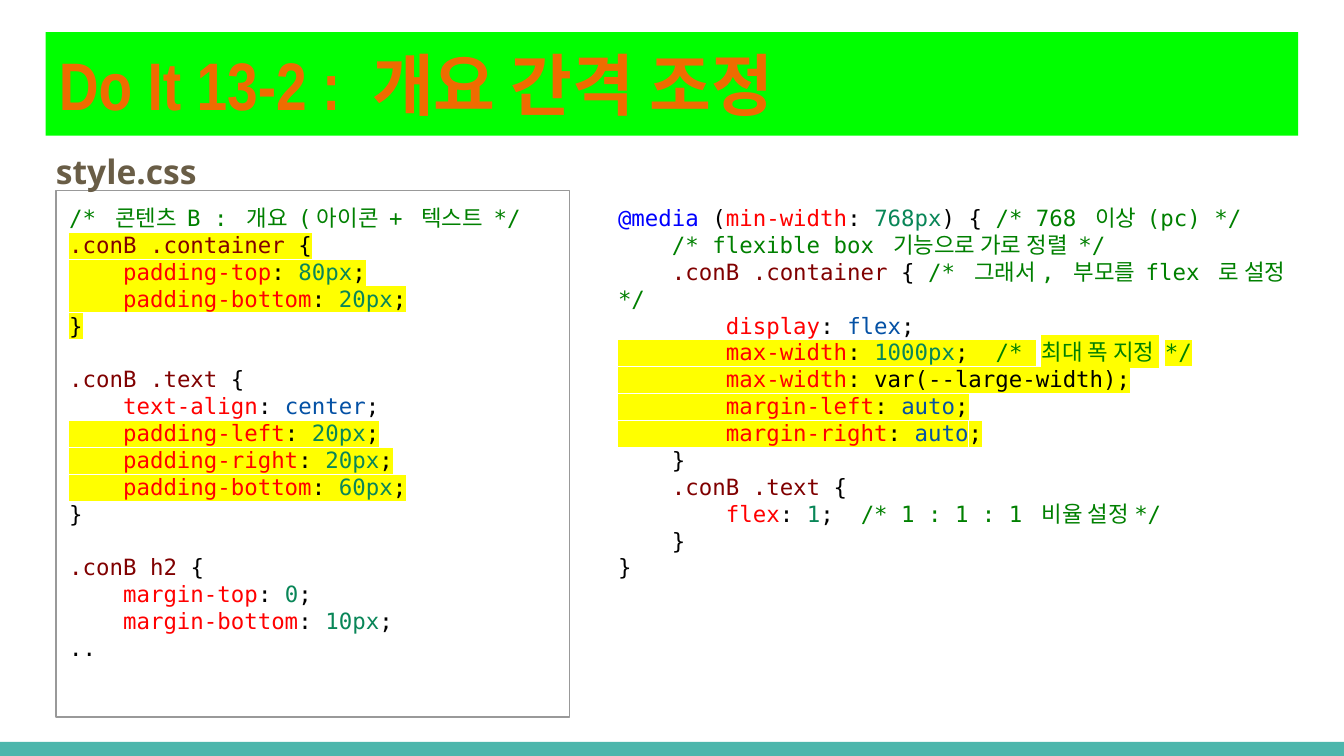
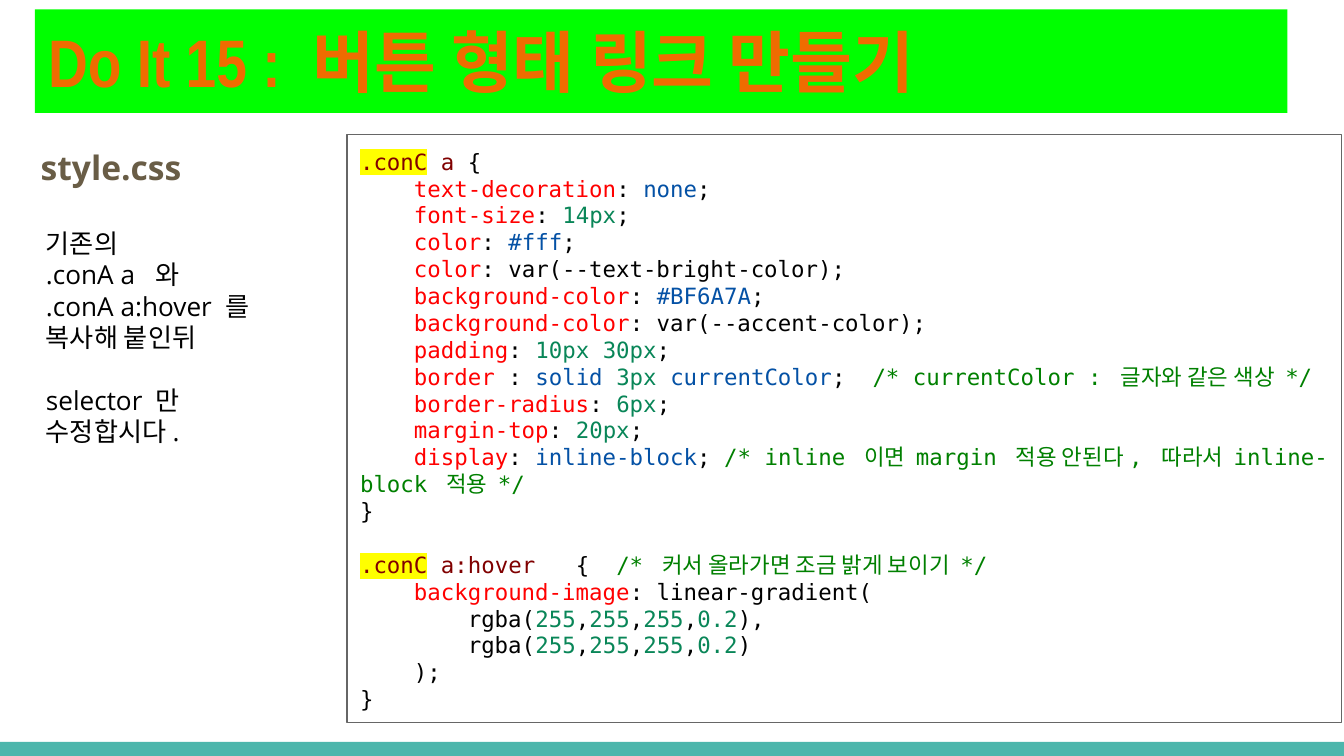
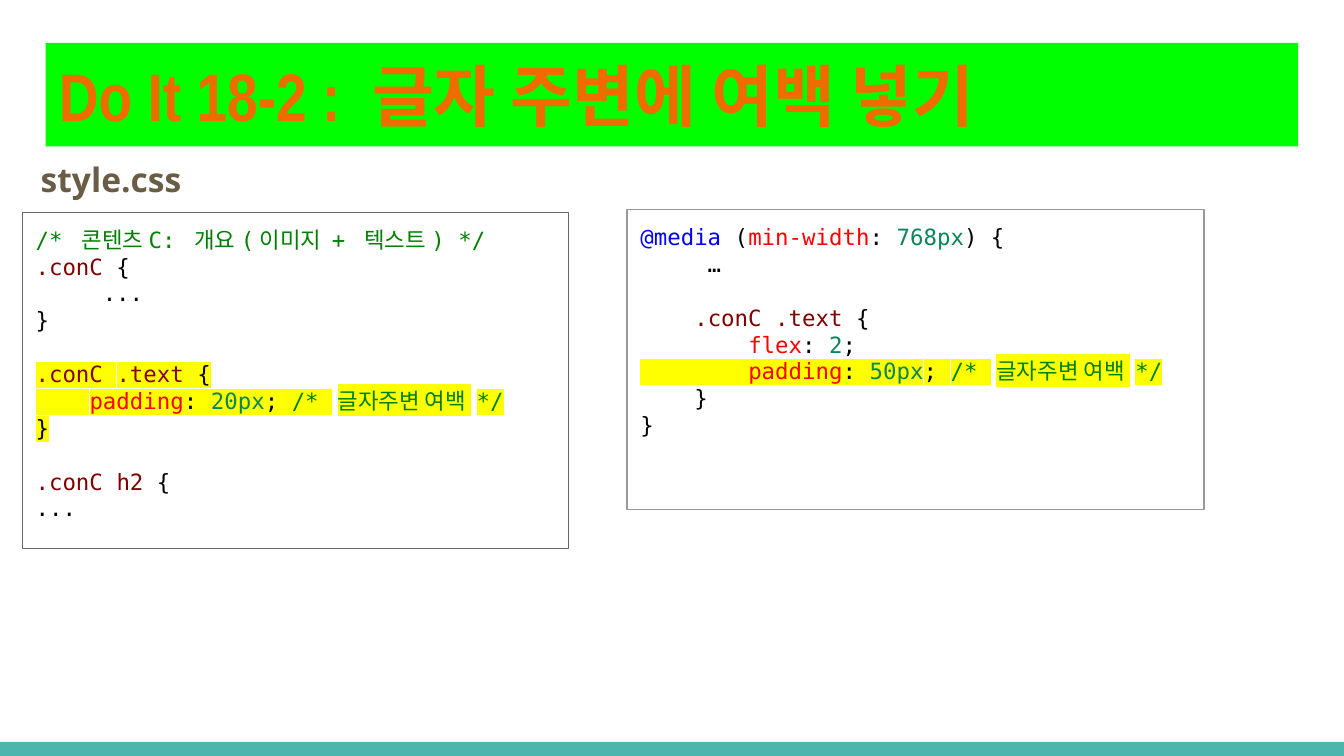
import dataclasses
import typing

import lxml.etree
import pptx
import pptx.dml.color
import pptx.enum.shapes
import pptx.enum.text
import pptx.oxml.ns
import pptx.util

Pt = pptx.util.Pt


@dataclasses.dataclass(frozen=True)
class Theme:
    band: str = "00FF00"
    footer: str = "4DB6AC"
    title: str = "EF6C00"
    label: str = "695D46"
    plain: str = "000000"
    comment: str = "008000"
    selector: str = "800000"
    prop: str = "FF0000"
    number: str = "098658"
    keyword: str = "0451A5"
    at_rule: str = "0000FF"
    marker: str = "FFFF00"
    light_border: str = "999999"
    dark_border: str = "666666"
    title_font: str = "Arial Narrow"
    text_font: str = "Open Sans"
    code_font: str = "DejaVu Sans Mono"
    title_size: float = 36
    label_size: float = 18
    note_size: float = 14
    code_size: float = 12
    leading: float = 1.2
    inset: float = 7.2


THEME = Theme()


class Span(typing.NamedTuple):
    text: str
    color: str = THEME.plain
    marked: bool = False


class Line(typing.NamedTuple):
    spans: list[Span]
    indent: float = 0


class Area(typing.NamedTuple):
    left: float
    top: float
    width: float
    height: float


Blocks = list[list[Line]]


@dataclasses.dataclass(frozen=True)
class TextPanel:
    area: Area
    blocks: Blocks
    border: str | None = None
    font: str = THEME.code_font
    size: float = THEME.code_size


@dataclasses.dataclass(frozen=True)
class Lesson:
    title: str
    title_at: tuple[float, float]
    label_at: tuple[float, float]
    panels: list[TextPanel]


def plain(text: str, indent: float = 0) -> Line:
    return Line([Span(text)], indent)


def comment(text: str) -> Span:
    return Span(f"/* {text}*/", THEME.comment)


def selector(first: str, second: str = "", depth: int = 0, opening: str = " {") -> Line:
    spans = [Span("    " * depth)] if depth else []
    spans.append(Span(first, THEME.selector))
    if second:
        spans += [Span(" "), Span(second, THEME.selector)]
    return Line(spans + [Span(opening)])


def value_color(word: str) -> str:
    if "(" in word:
        return THEME.plain
    return THEME.number if word[0].isdigit() else THEME.keyword


def declare(name: str, value: str, depth: int = 1, colon: str = ": ", end: str = ";") -> Line:
    spans = [Span("    " * depth), Span(name, THEME.prop), Span(colon)]
    for position, word in enumerate(value.split()):
        if position:
            spans.append(Span(" "))
        spans.append(Span(word, value_color(word)))
    return Line(spans + [Span(end)])


def rgba(end: str) -> Line:
    spans = [Span("        rgba(")]
    for position, channel in enumerate(("255", "255", "255", "0.2")):
        if position:
            spans.append(Span(","))
        spans.append(Span(channel, THEME.number))
    return Line(spans + [Span(end)])


def media(opening: str) -> Line:
    return Line([
        Span("@media", THEME.at_rule), Span(" ("), Span("min-width", THEME.prop),
        Span(": "), Span("768px", THEME.number), Span(opening),
    ])


def noted(line: Line, text: str) -> Line:
    return Line(line.spans + [comment(text)], line.indent)


def marked(line: Line, count: int | None = None) -> Line:
    limit = len(line.spans) if count is None else count
    spans = [span._replace(marked=index < limit) for index, span in enumerate(line.spans)]
    return Line(spans, line.indent)


def rgb(color: str) -> pptx.dml.color.RGBColor:
    return pptx.dml.color.RGBColor.from_string(color)


def add_rectangle(page, area: Area, fill: str | None = None, border: str | None = None):
    box = page.shapes.add_shape(
        pptx.enum.shapes.MSO_SHAPE.RECTANGLE, *(Pt(length) for length in area))
    box.shadow.inherit = False
    if fill:
        box.fill.solid()
        box.fill.fore_color.rgb = rgb(fill)
    else:
        box.fill.background()
    if border:
        box.line.color.rgb = rgb(border)
        box.line.width = Pt(0.75)
    else:
        box.line.fill.background()
    return box


def add_text_box(page, area: Area):
    return page.shapes.add_textbox(*(Pt(length) for length in area))


def prepare_frame(box, inset: float, anchor: str = "TOP"):
    frame = box.text_frame
    frame.word_wrap = True
    frame.vertical_anchor = pptx.enum.text.MSO_ANCHOR[anchor]
    frame.margin_left = frame.margin_right = Pt(inset)
    frame.margin_top = frame.margin_bottom = Pt(inset)
    return frame


def style(font, name: str, size: float, color: str, bold: bool = False) -> None:
    font.name = name
    font.size = Pt(size)
    font.bold = bold
    font.color.rgb = rgb(color)


def highlight(run) -> None:
    mark = lxml.etree.Element(pptx.oxml.ns.qn("a:highlight"))
    lxml.etree.SubElement(mark, pptx.oxml.ns.qn("a:srgbClr"), val=THEME.marker)
    run.font._element.find(pptx.oxml.ns.qn("a:solidFill")).addnext(mark)


def add_heading(box, text: str, inset: float, anchor: str, font: str, size: float, color: str):
    frame = prepare_frame(box, inset, anchor)
    frame.text = text
    para = frame.paragraphs[0]
    para.alignment = pptx.enum.text.PP_ALIGN.LEFT
    style(para.runs[0].font, font, size, color, True)
    return para


def draw_panel(page, panel: TextPanel) -> None:
    if panel.border:
        box = add_rectangle(page, panel.area, border=panel.border)
    else:
        box = add_text_box(page, panel.area)
    frame = prepare_frame(box, THEME.inset)
    pitch = Pt(panel.size * THEME.leading)
    para = None
    for block in panel.blocks:
        for position, line in enumerate(block):
            starts_block = para is not None and position == 0
            para = frame.paragraphs[0] if para is None else frame.add_paragraph()
            para.alignment = pptx.enum.text.PP_ALIGN.LEFT
            para.line_spacing = pitch
            if starts_block:
                para.space_before = pitch
            if line.indent:
                para._p.get_or_add_pPr().set("indent", str(Pt(line.indent)))
            for span in line.spans:
                run = para.add_run()
                run.text = span.text
                style(run.font, panel.font, panel.size, span.color)
                if span.marked:
                    highlight(run)


def draw_lesson(deck, lesson: Lesson) -> None:
    page = deck.slides.add_slide(deck.slide_layouts[6])
    add_rectangle(page, Area(0, 397.5, 720, 7.5), THEME.footer)
    band = add_rectangle(page, Area(*lesson.title_at, 671, 55.5), THEME.band)
    add_heading(band, lesson.title, THEME.inset, "MIDDLE",
                THEME.title_font, THEME.title_size, THEME.title)
    for panel in lesson.panels:
        draw_panel(page, panel)
    label = add_text_box(page, Area(*lesson.label_at, 118, 21))
    para = add_heading(label, "style.css", 0, "TOP",
                       THEME.text_font, THEME.label_size, THEME.label)
    para.line_spacing = 1.15
    para.space_after = Pt(16)


OVERVIEW_BASE: Blocks = [
    [
        Line([comment("콘텐츠 B : 개요 (아이콘 + 텍스트 ")]),
        marked(selector(".conB", ".container")),
        marked(declare("padding-top", "80px")),
        marked(declare("padding-bottom", "20px")),
        marked(plain("}")),
    ],
    [
        selector(".conB", ".text"),
        declare("text-align", "center"),
        marked(declare("padding-left", "20px")),
        marked(declare("padding-right", "20px")),
        marked(declare("padding-bottom", "60px")),
        plain("}"),
    ],
    [
        selector(".conB", "h2"),
        declare("margin-top", "0"),
        declare("margin-bottom", "10px"),
        plain(".."),
    ],
]

OVERVIEW_WIDE: Blocks = [[
    noted(media(") { "), "768 이상 (pc) "),
    noted(plain("    "), "flexible box 기능으로 가로 정렬 "),
    noted(selector(".conB", ".container", 1, " { "), "그래서, 부모를 flex 로 설정 "),
    declare("display", "flex", 2),
    marked(noted(declare("max-width", "1000px", 2, end=";  "), "최대 폭 지정 ")),
    marked(declare("max-width", "var(--large-width)", 2)),
    marked(declare("margin-left", "auto", 2)),
    marked(declare("margin-right", "auto", 2)),
    plain("    }"),
    selector(".conB", ".text", 1),
    noted(declare("flex", "1", 2, end=";  "), "1 : 1 : 1 비율 설정"),
    plain("    }"),
    plain("}"),
]]

BUTTON_LINK: Blocks = [
    [
        marked(selector(".conC", "a"), 1),
        declare("text-decoration", "none"),
        declare("font-size", "14px"),
        declare("color", "#fff"),
        declare("color", "var(--text-bright-color)"),
        declare("background-color", "#BF6A7A"),
        declare("background-color", "var(--accent-color)"),
        declare("padding", "10px 30px"),
        noted(declare("border", "solid 3px currentColor", colon=" : ", end=";  "),
              "currentColor : 글자와 같은 색상 "),
        declare("border-radius", "6px"),
        declare("margin-top", "20px"),
        noted(declare("display", "inline-block", end="; "),
              "inline 이면 margin 적용 안된다, 따라서 inline-block 적용 "),
        plain("}"),
    ],
    [
        noted(marked(selector(".conC", "a:hover", opening="   {  "), 1),
              "커서 올라가면 조금 밝게 보이기 "),
        declare("background-image", "linear-gradient(", end=""),
        rgba("),"),
        rgba(")"),
        plain("    );"),
        plain("}"),
    ],
]

COPY_NOTE: Blocks = [
    [plain("기존의"), plain(".conA a  와"), plain(".conA a:hover 를 복사해 붙인뒤")],
    [plain("selector 만 수정합시다.")],
]

PADDING_BASE: Blocks = [
    [
        Line([comment("콘텐츠C: 개요(이미지 + 텍스트) ")]),
        selector(".conC"),
        plain("...", 36),
        plain("}"),
    ],
    [
        marked(selector(".conC", ".text")),
        marked(noted(declare("padding", "20px", end="; "), "글자주변 여백 ")),
        marked(plain("}")),
    ],
    [selector(".conC", "h2"), plain("...")],
]

PADDING_WIDE: Blocks = [
    [media(") {"), plain("\t…")],
    [
        selector(".conC", ".text", 1),
        declare("flex", "2", 2),
        marked(noted(declare("padding", "50px", 2, end="; "), "글자주변 여백 ")),
        plain("    }"),
        plain("}"),
    ],
]

LESSONS = [
    Lesson("Do It 13-2 : 개요 간격 조정", (24.5, 17.2), (30, 77.8), [
        TextPanel(Area(30, 102.2, 275, 282), OVERVIEW_BASE, THEME.light_border),
        TextPanel(Area(324, 102.2, 384, 236), OVERVIEW_WIDE),
    ]),
    Lesson("Do It 15 : 버튼 형태 링크 만들기", (18.7, 5), (21.8, 75.6), [
        TextPanel(Area(185.8, 72, 533, 315.2), BUTTON_LINK, THEME.dark_border),
        TextPanel(Area(17.5, 114.5, 137.5, 195), COPY_NOTE,
                  font=THEME.text_font, size=THEME.note_size),
    ]),
    Lesson("Do It 18-2 : 글자 주변에 여백 넣기", (24.5, 23), (21.8, 82), [
        TextPanel(Area(12, 113.8, 292.5, 180), PADDING_BASE, THEME.dark_border),
        TextPanel(Area(336, 112.4, 309, 160.5), PADDING_WIDE, THEME.light_border),
    ]),
]


def main() -> None:
    deck = pptx.Presentation()
    deck.slide_width, deck.slide_height = Pt(720), Pt(405)
    for lesson in LESSONS:
        draw_lesson(deck, lesson)
    deck.save("out.pptx")


if __name__ == "__main__":
    main()
